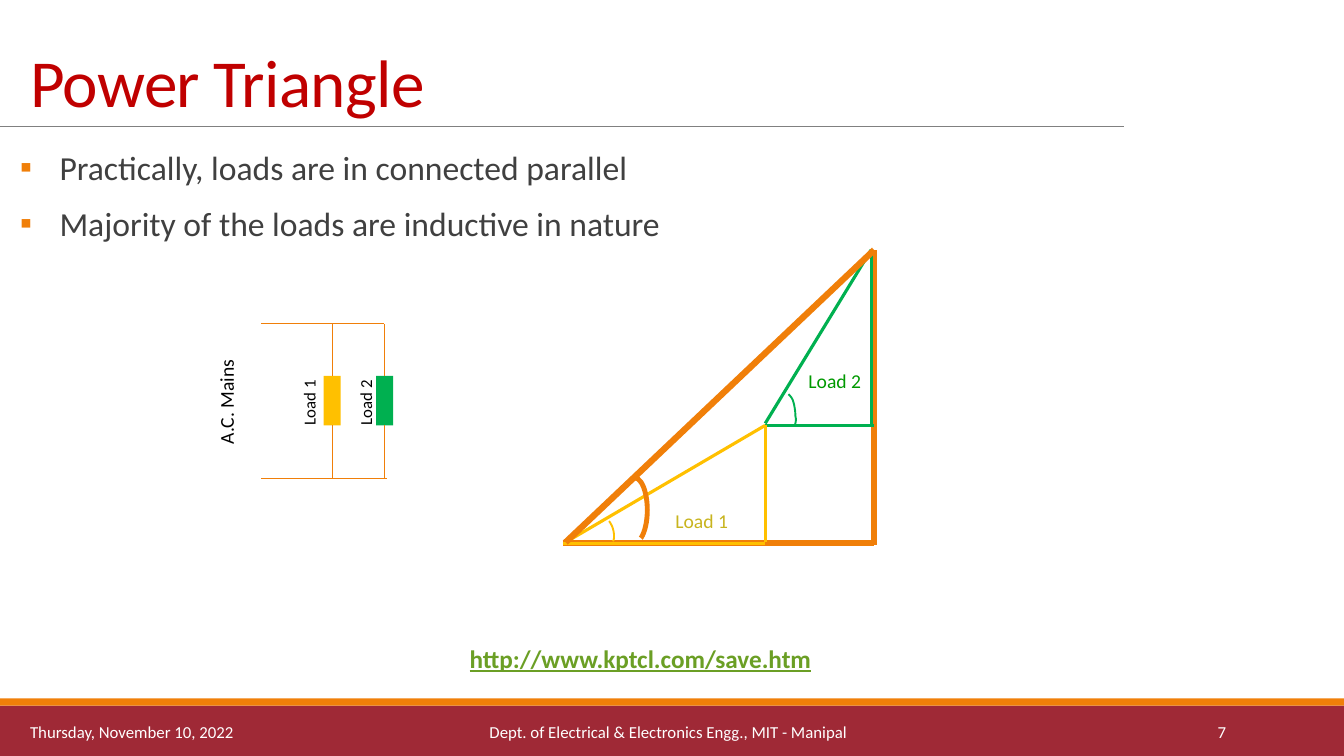
from dataclasses import dataclass
from lxml.etree import SubElement
from pptx import Presentation
from pptx.dml.color import RGBColor
from pptx.enum.shapes import MSO_CONNECTOR, MSO_SHAPE
from pptx.enum.text import MSO_ANCHOR, MSO_AUTO_SIZE, PP_ALIGN
from pptx.oxml.ns import qn
from pptx.util import Inches, Pt


@dataclass(frozen=True)
class Theme:
    font: str = "Calibri"
    head: str = "C00000"
    body: str = "404040"
    black: str = "000000"
    white: str = "FFFFFF"
    wine: str = "9F2936"
    orange: str = "F07F09"
    gold: str = "FFC000"
    green: str = "00B050"
    rule: str = "808080"
    link: str = "6B9F25"
    tag1: str = "C8B41E"
    tag2: str = "009900"
    title: int = 48
    list: int = 24
    url: int = 18
    label: int = 14
    small: int = 12


def color(code):
    return RGBColor.from_string(code)


def write(para, words, *, font, size, ink, align=PP_ALIGN.LEFT, lead=None,
          before=0, after=0, bold=False, under=False, track=0, bullet=None):
    """Fill one paragraph with text in the given format."""
    if bullet:
        props = para._p.get_or_add_pPr()
        props.set("marL", str(Inches(0.39)))
        props.set("indent", str(Inches(-0.39)))
        tint = SubElement(props, qn("a:buClr"))
        SubElement(tint, qn("a:srgbClr"), val=bullet)
        SubElement(props, qn("a:buFont"), typeface=font)
        SubElement(props, qn("a:buChar"), char="▪")
    para.alignment = align
    para.line_spacing = lead
    para.space_before, para.space_after = Pt(before), Pt(after)
    run = para.add_run()
    run.text = words
    run.font.name, run.font.size = font, Pt(size)
    run.font.color.rgb = color(ink)
    run.font.bold, run.font.underline = bold, under
    if track:
        run._r.get_or_add_rPr().set("spc", str(track))


class Sheet:
    """Holds the theme and the current slide."""

    def __init__(self, theme, slide):
        self.theme, self.slide = theme, slide
        self.shapes = slide.shapes

    def holder(self, shape, box, lines, anchor, **style):
        shape.left, shape.top, shape.width, shape.height = map(Inches, box)
        frame = shape.text_frame
        frame.auto_size = MSO_AUTO_SIZE.NONE
        frame.vertical_anchor = anchor
        for i, words in enumerate(lines):
            para = frame.add_paragraph() if i else frame.paragraphs[0]
            write(para, words, font=self.theme.font,
                  before=12 if i else 0, **style)
        return frame

    def text(self, box, words, turn=0, wrap=False,
             anchor=MSO_ANCHOR.TOP, **style):
        shape = self.shapes.add_textbox(*map(Inches, box))
        shape.rotation = turn
        frame = shape.text_frame
        frame.word_wrap = wrap
        frame.vertical_anchor = anchor
        write(frame.paragraphs[0], words, font=self.theme.font, **style)

    def rect(self, box, fill):
        shape = self.shapes.add_shape(MSO_SHAPE.RECTANGLE, *map(Inches, box))
        shape.shadow.inherit = False
        shape.fill.solid()
        shape.fill.fore_color.rgb = color(fill)
        shape.line.fill.background()
        return shape

    def line(self, start, end, ink, width):
        wire = self.shapes.add_connector(
            MSO_CONNECTOR.STRAIGHT, *map(Inches, (*start, *end)))
        wire.line.color.rgb = color(ink)
        wire.line.width = Pt(width)
        SubElement(wire._element.spPr, qn("a:effectLst"))
        return wire

    def outline(self, shape, ink, width, fill=None):
        shape.shadow.inherit = False
        if fill:
            shape.fill.solid()
            shape.fill.fore_color.rgb = color(fill)
        else:
            shape.fill.background()
        shape.line.color.rgb = color(ink)
        shape.line.width = Pt(width)

    def arc(self, box, span, ink, width):
        shape = self.shapes.add_shape(MSO_SHAPE.ARC, *map(Inches, box))
        shape.adjustments[0], shape.adjustments[1] = span
        self.outline(shape, ink, width)

    def curve(self, knots, ink, width, fill=None, steps=6):
        """Trace joined cubic curves; every third knot is on the curve."""
        dots = [knots[0]]
        for k in range(0, len(knots) - 1, 3):
            for n in range(1, steps + 1):
                t = n / steps
                mix = ((1 - t) ** 3, 3 * t * (1 - t) ** 2,
                       3 * t * t * (1 - t), t ** 3)
                dots.append([sum(m * p[axis] for m, p in
                                 zip(mix, knots[k:k + 4])) for axis in (0, 1)])
        dots = [(Inches(x), Inches(y)) for x, y in dots]
        build = self.shapes.build_freeform(*dots[0])
        build.add_line_segments(dots[1:], close=False)
        self.outline(build.convert_to_shape(), ink, width, fill)


def main():
    deck = Presentation()
    deck.slide_width, deck.slide_height = Inches(13.33), Inches(7.5)
    th = Theme()
    page = Sheet(th, deck.slides.add_slide(deck.slide_layouts[1]))

    # Footer bands and title rule
    page.rect((0, 7, 13.33, 0.5), th.wine)
    page.rect((0, 6.93, 13.33, 0.07), th.orange)
    page.line((0, 1.25), (11.15, 1.25), th.rule, 0.5)

    # Title and list
    title, body = page.slide.placeholders
    page.holder(title, (0.2, -0.34, 12.89, 1.59), ["Power Triangle"],
                MSO_ANCHOR.BOTTOM, size=th.title, ink=th.head,
                lead=0.85, track=-50)
    frame = page.holder(
        body, (0.2, 1.45, 12.89, 5.31),
        ["Practically, loads are in connected parallel",
         "Majority of the loads are inductive in nature"],
        MSO_ANCHOR.TOP, size=th.list, ink=th.body, lead=0.9, after=2,
        bullet=th.orange)
    frame.margin_left = frame.margin_right = 0

    # Footer text
    for left, width, words, align in (
            (0.2, 3.14, "Thursday, November 10, 2022", PP_ALIGN.LEFT),
            (3.59, 6.08, "Dept. of Electrical & Electronics Engg., "
             "MIT - Manipal", PP_ALIGN.CENTER),
            (10.83, 1.43, "7", PP_ALIGN.RIGHT)):
        page.text((left, 7.06, width, 0.4), words, wrap=True, align=align,
                  anchor=MSO_ANCHOR.MIDDLE, size=th.small, ink=th.white)

    # Circuit: two loads between the mains wires
    high, low = 3.21, 4.75
    page.text((1.72, 3.81, 1.05, 0.34), "A.C. Mains", turn=270,
              size=th.label, ink=th.black)
    for name, left, tag, fill in (("Load 1", 3.21, 2.73, th.gold),
                                  ("Load 2", 3.73, 3.29, th.green)):
        page.text((tag, 3.83, 0.67, 0.3), name, turn=270,
                  size=th.small, ink=th.black)
        load = page.rect((left, 3.73, 0.17, 0.49), fill)
        mid = left + 0.17 / 2
        for site, edge, rail in ((0, 3.73, high), (2, 4.22, low)):
            wire = page.line((mid, edge), (mid, rail), th.orange, 0.75)
            wire.begin_connect(load, site)
    page.line((2.59, high), (3.81, high), th.orange, 0.75)
    page.line((2.59, low), (3.84, low), th.orange, 0.75)

    # Total power: base and height
    page.line((5.58, 5.39), (8.67, 5.39), th.orange, 4.5)
    page.line((8.67, 5.41), (8.67, 2.48), th.orange, 4.5)

    # Load 2 triangle
    page.curve([(7.82, 3.91), (7.84, 3.93), (7.86, 3.95), (7.87, 3.99),
                (7.88, 4.02), (7.89, 4.09), (7.89, 4.13),
                (7.9, 4.17), (7.89, 4.2), (7.88, 4.23)],
               th.green, 1.35, fill=th.white)
    page.text((7.92, 3.61, 0.74, 0.34), "Load 2", size=th.label, ink=th.tag2)
    for start, end in (((7.59, 4.22), (8.67, 4.22)),
                       ((8.64, 4.22), (8.64, 2.47)),
                       ((7.59, 4.2), (8.64, 2.48))):
        page.line(start, end, th.green, 2.25)

    # Load 1 triangle
    page.text((6.6, 5, 0.74, 0.34), "Load 1", size=th.label, ink=th.tag1)
    for start, end in (((5.58, 5.39), (7.59, 5.39)),
                       ((7.59, 5.38), (7.59, 4.22)),
                       ((5.61, 5.38), (7.59, 4.22))):
        page.line(start, end, th.gold, 2.25)
    page.curve([(6.04, 5.17), (6.05, 5.18), (6.06, 5.2), (6.07, 5.22),
                (6.08, 5.24), (6.09, 5.29), (6.09, 5.31),
                (6.09, 5.34), (6.09, 5.35), (6.08, 5.37)], th.gold, 1.35)

    # Total power: long side and angle
    page.line((5.61, 5.38), (8.67, 2.48), th.orange, 4.5)
    page.arc((6.17, 4.74, 0.25, 0.64), (162, 46.43), th.orange, 3.5)

    # Web address
    page.text((4.56, 6.33, 5.14, 0.4), "http://www.kptcl.com/save.htm",
              wrap=True, size=th.url, ink=th.link, bold=True, under=True)

    deck.save("out.pptx")


if __name__ == "__main__":
    main()
